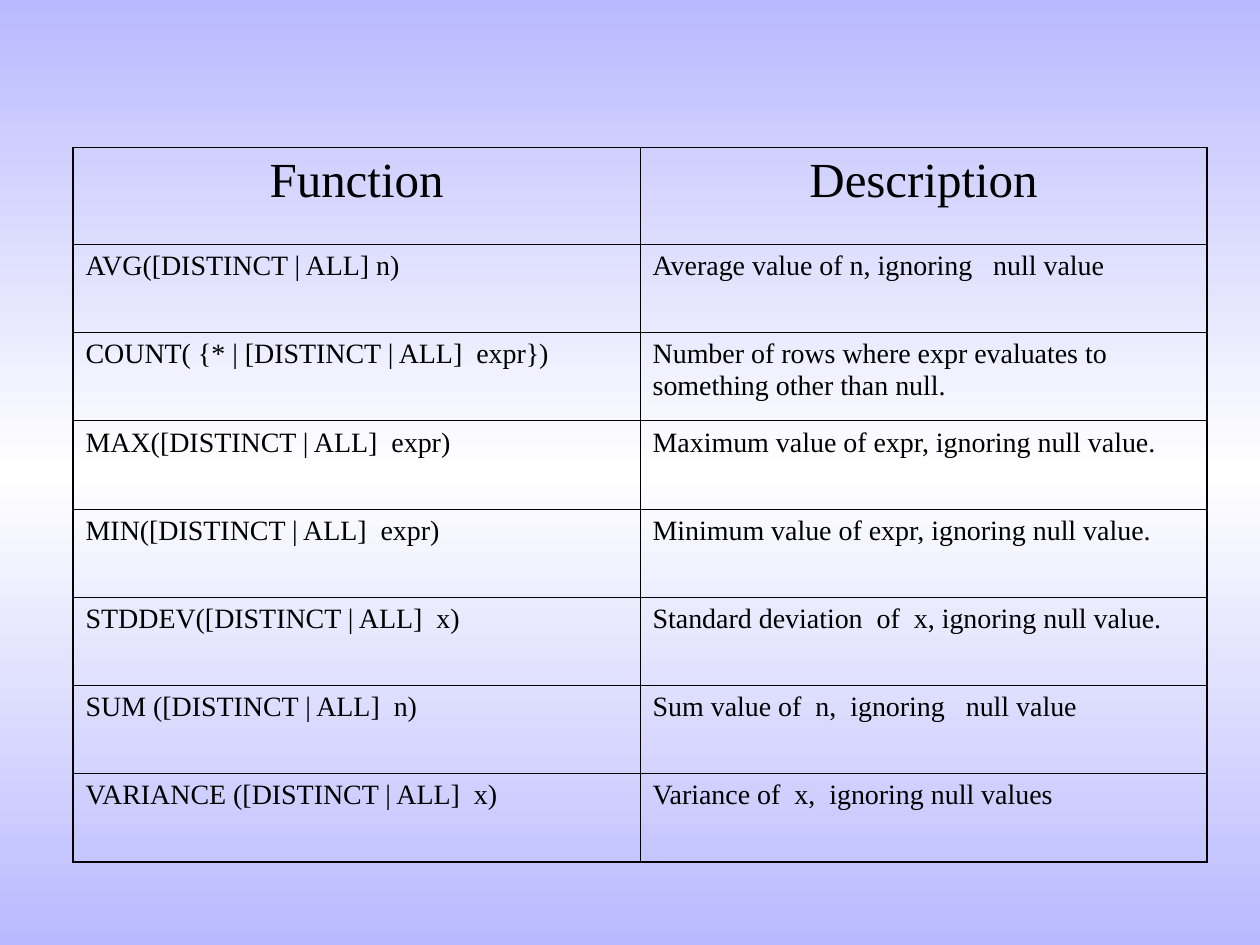
from copy import deepcopy

from lxml import etree
from pptx import Presentation
from pptx.dml.color import RGBColor
from pptx.enum import text
from pptx.oxml.ns import qn
from pptx.util import Inches, Pt

HEADER = ("Function", "Description")
FUNCTIONS = [
    ("AVG([DISTINCT | ALL] n)", "Average value of n, ignoring   null value"),
    ("COUNT( {* | [DISTINCT | ALL]  expr})",
     "Number of rows where expr evaluates to something other than null."),
    ("MAX([DISTINCT | ALL]  expr)", "Maximum value of expr, ignoring null value."),
    ("MIN([DISTINCT | ALL]  expr)", "Minimum value of expr, ignoring null value."),
    ("STDDEV([DISTINCT | ALL]  x)", "Standard deviation  of  x, ignoring null value."),
    ("SUM ([DISTINCT | ALL]  n)", "Sum value of  n,  ignoring   null value"),
    ("VARIANCE ([DISTINCT | ALL]  x)", "Variance of  x,  ignoring null values"),
]
ROWS = [HEADER] + FUNCTIONS
BACKGROUND = [(0, "B9B9FF"), (0.5, "FFFFFF"), (1, "B9B9FF")]
FONT, INK = "Times New Roman", "000000"
OUTER, INNER = 1.08, 0.45
LEFT, TOP, COL_WIDTH = 0.58, 1.17, 4.5
HEADER_HEIGHT, ROW_HEIGHT = 0.77, 0.7


def rgb(value):
    return RGBColor.from_string(value)


def paint_background(s):
    fill = s.background.fill
    fill.gradient()
    fill.gradient_angle = 90
    stops = s.element.find(".//" + qn("a:gsLst"))
    stops.append(deepcopy(stops[-1]))
    for stop, (position, color) in zip(fill.gradient_stops, BACKGROUND):
        stop.position = position
        stop.color.rgb = rgb(color)


def set_borders(cell, widths):
    """Draw the left, right, top and bottom borders, widths in points."""
    tc_pr = cell._tc.get_or_add_tcPr()
    for i, (side, width) in enumerate(zip("LRTB", widths)):
        ln = etree.Element(qn("a:ln" + side), w=str(Pt(width)))
        solid = etree.SubElement(ln, qn("a:solidFill"))
        etree.SubElement(solid, qn("a:srgbClr"), val=INK)
        tc_pr.insert(i, ln)


def fill_cell(cell, words, is_header):
    cell.text_frame.text = words
    cell.fill.background()
    p = cell.text_frame.paragraphs[0]
    p.alignment = text.PP_ALIGN.CENTER if is_header else text.PP_ALIGN.LEFT
    font = p.runs[0].font
    font.name, font.size = FONT, Pt(28 if is_header else 16)
    font.bold = False
    font.color.rgb = rgb(INK)


def add_function_table(s):
    last_row, last_col = len(ROWS) - 1, len(HEADER) - 1
    height = HEADER_HEIGHT + ROW_HEIGHT * len(FUNCTIONS)
    table = s.shapes.add_table(
        len(ROWS), len(HEADER), Inches(LEFT), Inches(TOP),
        Inches(COL_WIDTH * len(HEADER)), Inches(height)).table
    table.first_row = table.horz_banding = False
    for column in table.columns:
        column.width = Inches(COL_WIDTH)
    for r, row in enumerate(ROWS):
        table.rows[r].height = Inches(ROW_HEIGHT if r else HEADER_HEIGHT)
        for c, words in enumerate(row):
            cell = table.cell(r, c)
            fill_cell(cell, words, is_header=r == 0)
            on_edge = (c == 0, c == last_col, r == 0, r == last_row)
            set_borders(cell, [OUTER if edge else INNER for edge in on_edge])


def main():
    prs = Presentation()
    prs.slide_width, prs.slide_height = Inches(10), Inches(7.5)
    s = prs.slides.add_slide(prs.slide_layouts[6])
    paint_background(s)
    add_function_table(s)
    prs.save("out.pptx")


if __name__ == "__main__":
    main()
